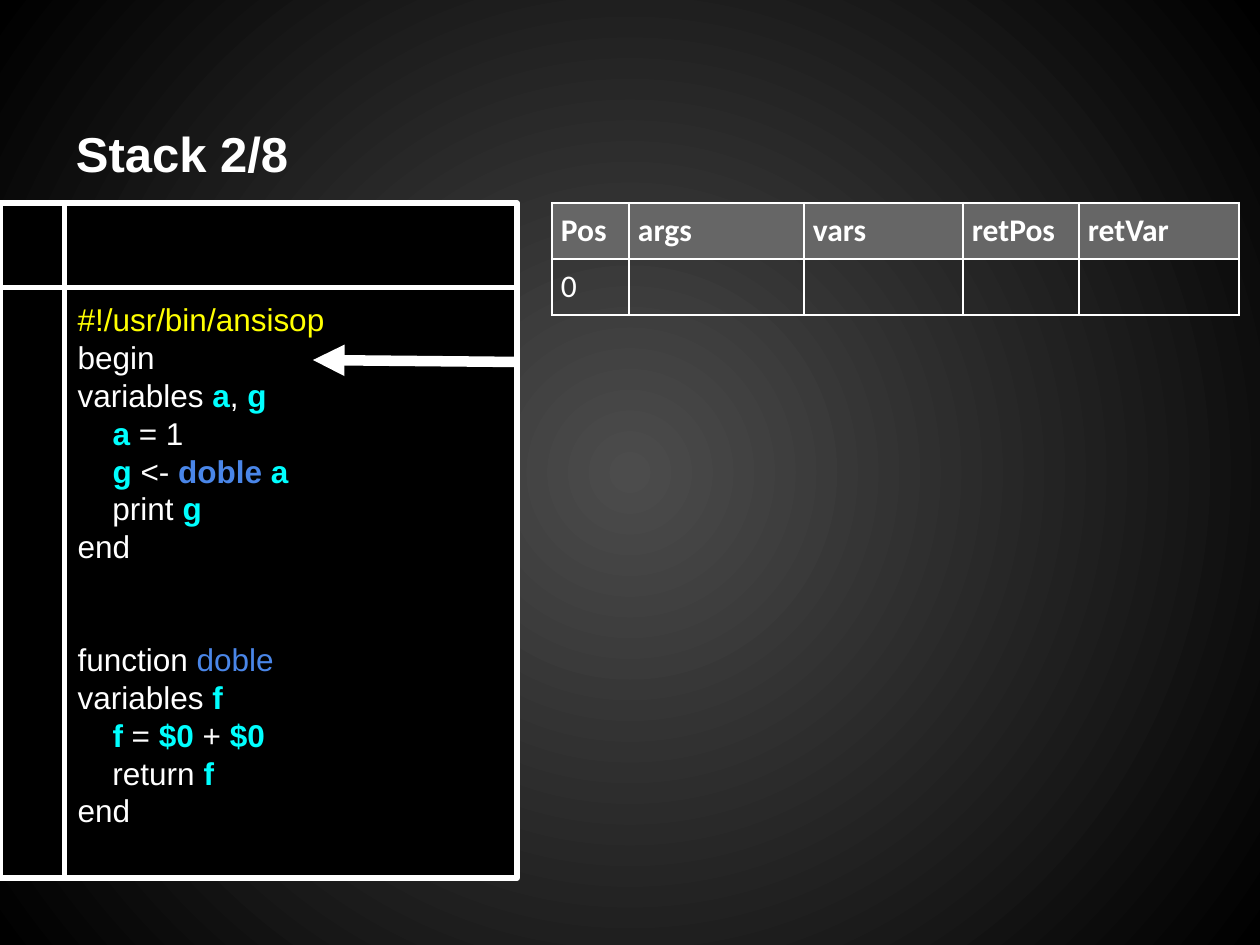
from lxml import etree
from pptx import Presentation
from pptx.dml.color import RGBColor
from pptx.enum.shapes import MSO_CONNECTOR, MSO_SHAPE
from pptx.enum.text import MSO_ANCHOR, PP_ALIGN
from pptx.oxml import parse_xml
from pptx.oxml.ns import nsdecls, qn
from pptx.util import Emu, Pt

STORAGE = MSO_SHAPE.FLOWCHART_INTERNAL_STORAGE
STRAIGHT = MSO_CONNECTOR.STRAIGHT
TOP, BOTTOM = MSO_ANCHOR.TOP, MSO_ANCHOR.BOTTOM
LEFT, JUSTIFY = PP_ALIGN.LEFT, PP_ALIGN.JUSTIFY

EMU_PER_PX = 914400 / 126
WHITE, BLACK, GREY = "FFFFFF", "000000", "666666"
PLAIN = {}
COMMENT = {"color": "FFFF00"}
VARIABLE = {"color": "00FFFF", "bold": True}
CALL = {"color": "4A86E8", "bold": True}
NAME = {"color": "4A86E8"}

MAIN_CODE = [
    [("#!/usr/bin/ansisop", COMMENT)],
    [("begin", PLAIN)],
    [("variables ", PLAIN), ("a", VARIABLE), (", ", PLAIN), ("g", VARIABLE)],
    [("    ", PLAIN), ("a", VARIABLE), (" = 1", PLAIN)],
    [("    ", PLAIN), ("g", VARIABLE), (" <- ", PLAIN), ("doble ", CALL), ("a", VARIABLE)],
    [("    print ", PLAIN), ("g", VARIABLE)],
    [("end", PLAIN)],
]
FUNCTION_CODE = [
    [("function ", PLAIN), ("doble", NAME)],
    [("variables ", PLAIN), ("f", VARIABLE)],
    [("    ", PLAIN), ("f", VARIABLE), (" = ", PLAIN), ("$0", VARIABLE),
     (" + ", PLAIN), ("$0", VARIABLE)],
    [("    return ", PLAIN), ("f", VARIABLE)],
    [("end", PLAIN)],
]
STACK_ROWS = [["Pos", "args", "vars", "retPos", "retVar"], ["0", "", "", "", ""]]
STACK_WIDTHS = [77, 175, 159, 116, 160]
ROW_HEIGHT = 56


def px(length):
    return Emu(round(length * EMU_PER_PX))


def rgb(value):
    return RGBColor.from_string(value)


def add_text(paragraph, text, font="Arial", size=18, color=WHITE, bold=False):
    run = paragraph.add_run()
    run.text = text
    run.font.name = font
    run.font.size = Pt(size)
    run.font.bold = bold
    run.font.color.rgb = rgb(color)


def set_frame(frame, anchor, inset):
    frame.word_wrap = True
    frame.vertical_anchor = anchor
    frame.margin_left = frame.margin_right = px(inset)
    frame.margin_top = frame.margin_bottom = px(inset)


def set_background(slide, centre, edge):
    background = parse_xml(
        f'<p:bg {nsdecls("p", "a")}><p:bgPr><a:gradFill rotWithShape="1"><a:gsLst>'
        f'<a:gs pos="0"><a:srgbClr val="{centre}"/></a:gs>'
        f'<a:gs pos="100000"><a:srgbClr val="{edge}"/></a:gs></a:gsLst>'
        '<a:path path="circle"><a:fillToRect l="50000" t="50000" r="50000" b="50000"/>'
        '</a:path></a:gradFill><a:effectLst/></p:bgPr></p:bg>')
    slide.element.cSld.insert(0, background)


def add_title(slide, text, left, top, width, height):
    box = slide.shapes.add_textbox(px(left), px(top), px(width), px(height))
    set_frame(box.text_frame, BOTTOM, 13)
    add_text(box.text_frame.paragraphs[0], text, size=28, bold=True)


def add_code_panel(slide, blocks, left, top, width, height):
    panel = slide.shapes.add_shape(STORAGE, px(left), px(top), px(width), px(height))
    panel.shadow.inherit = False
    panel.fill.solid()
    panel.fill.fore_color.rgb = rgb(BLACK)
    panel.line.color.rgb = rgb(WHITE)
    panel.line.width = Pt(3)
    frame = panel.text_frame
    set_frame(frame, TOP, 13)
    paragraph = None
    for block in blocks:
        for index, line in enumerate(block):
            starts_later_block = paragraph is not None and index == 0
            paragraph = frame.paragraphs[0] if paragraph is None else frame.add_paragraph()
            paragraph.alignment = LEFT
            if starts_later_block:
                paragraph.space_before = Pt(43)
            for text, style in line:
                add_text(paragraph, text, **style)


def add_arrow(slide, start, end, width):
    arrow = slide.shapes.add_connector(STRAIGHT, *map(px, start + end))
    arrow.line.color.rgb = rgb(WHITE)
    arrow.line.width = Pt(width)
    etree.SubElement(arrow.line._get_or_add_ln(), qn("a:tailEnd"), type="triangle")
    etree.SubElement(arrow._element.spPr, qn("a:effectLst"))


def set_borders(cell, color, width):
    properties = cell._tc.get_or_add_tcPr()
    for side in ("lnL", "lnR", "lnT", "lnB"):
        properties.append(parse_xml(
            f'<a:{side} {nsdecls("a")} w="{Pt(width)}"><a:solidFill>'
            f'<a:srgbClr val="{color}"/></a:solidFill></a:{side}>'))


def add_stack_table(slide, rows, widths, left, top):
    table = slide.shapes.add_table(
        len(rows), len(widths), px(left), px(top),
        px(sum(widths)), px(ROW_HEIGHT * len(rows))).table
    for column, width in zip(table.columns, widths):
        column.width = px(width)
    for row_index, texts in enumerate(rows):
        is_header = row_index == 0
        for column_index, text in enumerate(texts):
            cell = table.cell(row_index, column_index)
            cell.margin_left = cell.margin_right = px(9)
            cell.margin_top = cell.margin_bottom = px(9)
            set_borders(cell, WHITE, 1.5)
            if is_header:
                cell.fill.solid()
                cell.fill.fore_color.rgb = rgb(GREY)
            else:
                cell.fill.background()
            if text:
                paragraph = cell.text_frame.paragraphs[0]
                paragraph.alignment = JUSTIFY
                add_text(paragraph, text, font="Calibri", bold=is_header)


def main():
    presentation = Presentation()
    presentation.slide_width, presentation.slide_height = px(1260), px(945)
    slide = presentation.slides.add_slide(presentation.slide_layouts[6])
    set_background(slide, "4C4C4C", BLACK)

    # Title and source code
    add_title(slide, "Stack 2/8", 63, 38, 310, 157)
    add_code_panel(slide, [MAIN_CODE, FUNCTION_CODE], 0, 203, 517, 675)

    # Current line marker
    add_arrow(slide, (517, 362), (313, 360), 6)

    # Stack contents
    add_stack_table(slide, STACK_ROWS, STACK_WIDTHS, 552, 203)

    presentation.save("out.pptx")


if __name__ == "__main__":
    main()
